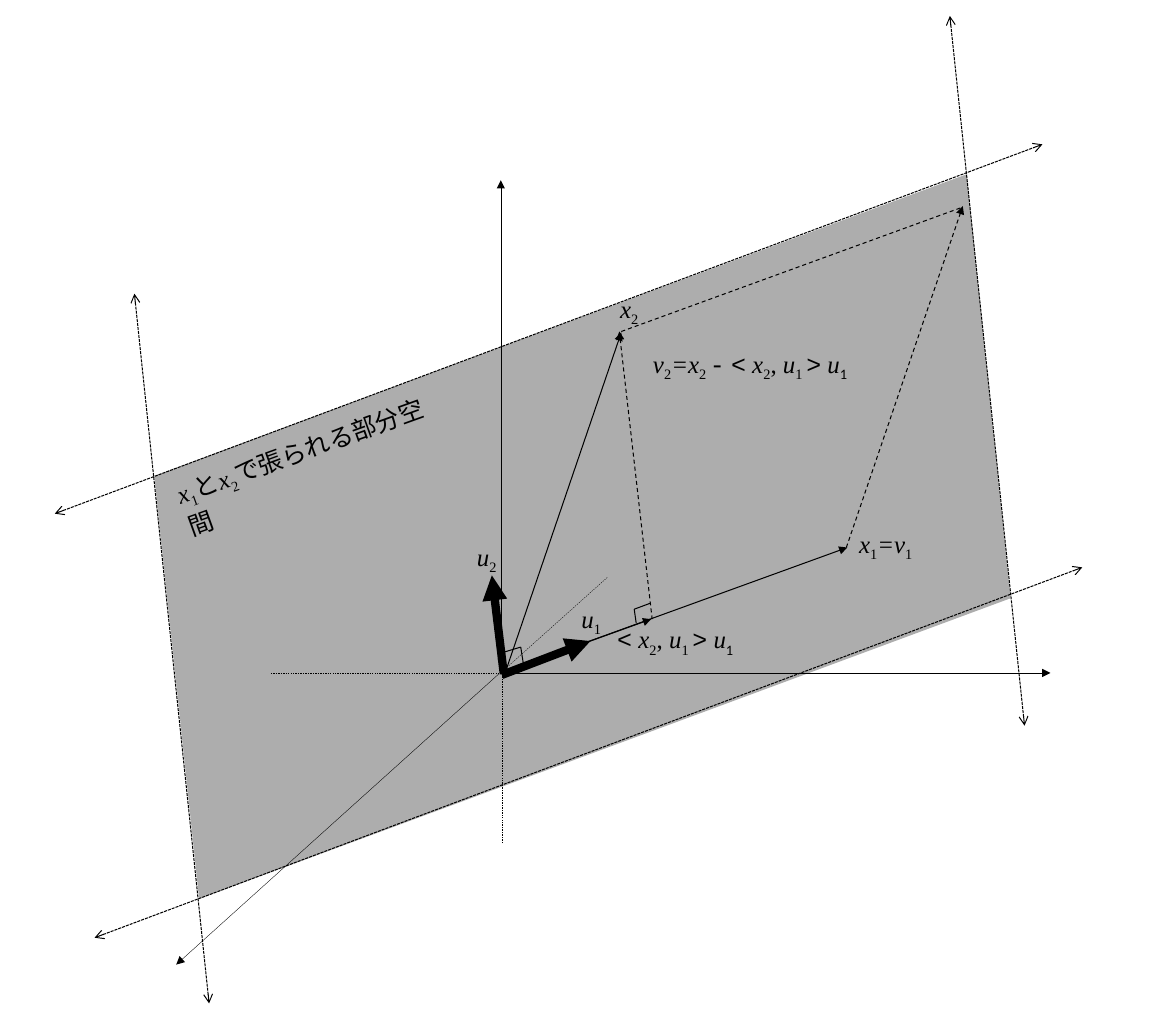
from lxml import etree
from pptx import Presentation
from pptx.dml.color import RGBColor
from pptx.enum.dml import MSO_LINE
from pptx.enum.shapes import MSO_CONNECTOR
from pptx.enum.text import MSO_AUTO_SIZE
from pptx.oxml.ns import qn
from pptx.util import Inches, Pt

BLACK = RGBColor(0x00, 0x00, 0x00)
PLANE_GRAY = RGBColor(0xAD, 0xAD, 0xAD)
STRAIGHT = MSO_CONNECTOR.STRAIGHT
DASH = MSO_LINE.DASH
SHORT_DASH = MSO_LINE.SQUARE_DOT
FIT_SHAPE = MSO_AUTO_SIZE.SHAPE_TO_FIT_TEXT
FIXED_SIZE = MSO_AUTO_SIZE.NONE

SERIF, MONO, SANS = "Times New Roman", "Courier New", "Calibri"
THIN, NORMAL, THICK = 0.25, 0.75, 6


def symbol(text):
    return text, SERIF, True, False


def index(text, font=SERIF):
    return text, font, False, True


def plain(text, font=SERIF):
    return text, font, False, False


# < x2, u1 > u1
PROJECTION = [plain("<", MONO), plain(" "), symbol("x"), index("2"),
              plain(", "), symbol("u"), index("1 "), plain(">", MONO),
              plain(" "), symbol("u"), index("1", SANS)]

# Corners of the plane spanned by x1 and x2
PLANE_CORNERS = [(1.55, 4.78), (9.71, 1.75), (10.15, 6.01), (2.0, 9.03)]

# Labels: left, top, width, runs
LABELS = [
    (5.74, 6.01, 0.41, [symbol("u"), index("1")]),
    (4.69, 5.39, 0.41, [symbol("u"), index("2")]),
    (6.13, 2.9, 0.4, [symbol("x"), index("2")]),
    (8.53, 5.26, 0.76, [symbol("x"), index("1"), symbol("=v"), index("1")]),
    (6.1, 6.22, 1.41, PROJECTION),
    (6.46, 3.45, 2.45, [symbol("v"), index("2"), symbol("=x"), index("2 "),
                        plain("-", MONO), plain(" ")] + PROJECTION),
]
PLANE_LABEL = [symbol("x"), index("1"), plain("と"), symbol("x"), index("2"),
               plain("で張られる部分空間")]


def add_line(slide, start, end, width=NORMAL, dash=None, head=None, tail=None):
    line = slide.shapes.add_connector(
        STRAIGHT, *(Inches(value) for value in start + end))
    line.line.color.rgb = BLACK
    line.line.width = Pt(width)
    if dash is not None:
        line.line.dash_style = dash
    outline = line.line._get_or_add_ln()
    for tag, kind in (("a:headEnd", head), ("a:tailEnd", tail)):
        if kind:
            etree.SubElement(outline, qn(tag), type=kind)
    etree.SubElement(line._element.spPr, qn("a:effectLst"))


def add_arrow(slide, start, end, width=NORMAL, dash=None):
    add_line(slide, start, end, width, dash, tail="triangle")


def add_plane(slide):
    points = [(Inches(x), Inches(y)) for x, y in PLANE_CORNERS]
    builder = slide.shapes.build_freeform(*points[0])
    builder.add_line_segments(points[1:], close=True)
    shape = builder.convert_to_shape()
    shape.fill.solid()
    shape.fill.fore_color.rgb = PLANE_GRAY
    shape.line.fill.background()
    shape.shadow.inherit = False


def add_label(slide, left, top, width, runs, wrap=False, rotation=0):
    box = slide.shapes.add_textbox(
        Inches(left), Inches(top), Inches(width), Inches(0.4))
    box.rotation = rotation
    frame = box.text_frame
    frame.word_wrap = wrap
    frame.auto_size = FIXED_SIZE if rotation else FIT_SHAPE
    paragraph = frame.paragraphs[0]
    for text, font, italic, lowered in runs:
        run = paragraph.add_run()
        run.text = text
        run.font.name = font
        run.font.size = Pt(18)
        run.font.italic = italic
        run.font.color.rgb = BLACK
        if lowered:
            run._r.get_or_add_rPr().set("baseline", "-25000")


def add_vectors(slide):
    # x1, x2 and the projection of x2
    add_arrow(slide, (5.04, 6.76), (8.51, 5.5))
    add_arrow(slide, (5.08, 6.74), (6.24, 3.34))
    add_arrow(slide, (5.04, 6.76), (6.54, 6.22))
    # Unit vectors u1 and u2
    add_arrow(slide, (5.04, 6.78), (5.93, 6.44), THICK)
    add_arrow(slide, (5.06, 6.77), (4.94, 5.78), THICK)
    # v2 and the sides of the parallelogram
    add_line(slide, (6.22, 3.33), (6.55, 6.22), dash=DASH, head="triangle")
    add_line(slide, (6.24, 3.33), (9.67, 2.08), dash=DASH)
    add_arrow(slide, (8.5, 5.5), (9.67, 2.07), dash=DASH)


def add_right_angles(slide):
    for first, corner, last in (
            ((5, 6.57), (5.23, 6.5), (5.26, 6.69)),
            ((6.53, 6.06), (6.37, 6.12), (6.39, 6.26))):
        add_line(slide, first, corner)
        add_line(slide, last, corner)


def add_axes(slide):
    # Negative halves
    add_line(slide, (2.72, 6.76), (5.04, 6.76), THIN, DASH)
    add_line(slide, (6.1, 5.8), (5.04, 6.75), THIN, DASH)
    add_arrow(slide, (5.04, 8.47), (5.04, 6.54), THIN, DASH)
    # Positive halves
    add_arrow(slide, (5.01, 6.77), (1.77, 9.69), THIN)
    add_arrow(slide, (5.03, 6.69), (5.03, 1.81), THIN)
    add_arrow(slide, (5.04, 6.76), (10.55, 6.76), THIN)


def add_plane_edges(slide):
    for start, end in (((1.35, 2.95), (2.1, 10.08)),
                       ((9.54, 0.16), (10.29, 7.29)),
                       ((0.55, 5.16), (10.47, 1.45)),
                       ((0.95, 9.42), (10.87, 5.7))):
        add_line(slide, start, end, dash=SHORT_DASH, head="arrow", tail="arrow")


def main():
    presentation = Presentation()
    # 30 cm by 26 cm
    presentation.slide_width = Inches(30 / 2.54)
    presentation.slide_height = Inches(26 / 2.54)
    slide = presentation.slides.add_slide(presentation.slide_layouts[6])

    add_plane(slide)
    add_vectors(slide)
    for label in LABELS:
        add_label(slide, *label)
    add_right_angles(slide)
    add_label(slide, 1.6, 4.31, 2.95, PLANE_LABEL, wrap=True, rotation=340.1)
    add_plane_edges(slide)
    add_axes(slide)

    presentation.save("out.pptx")


if __name__ == "__main__":
    main()
